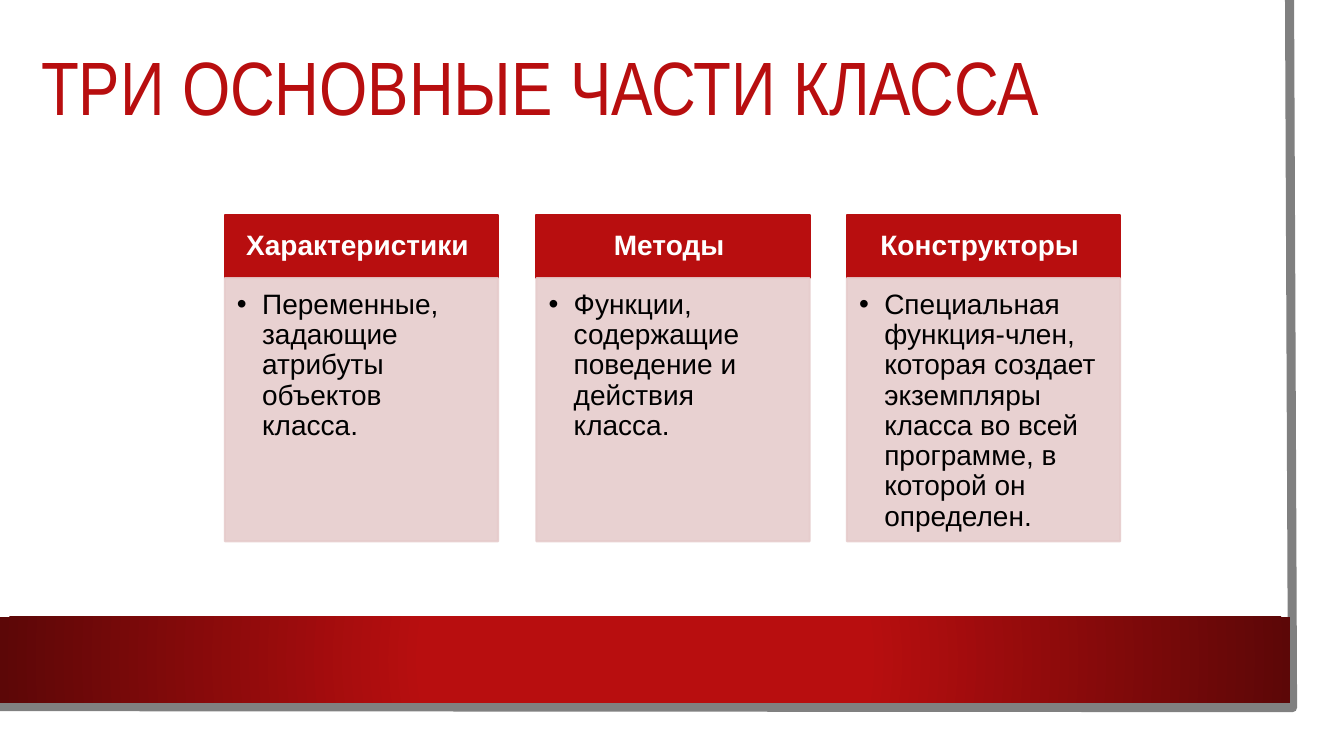
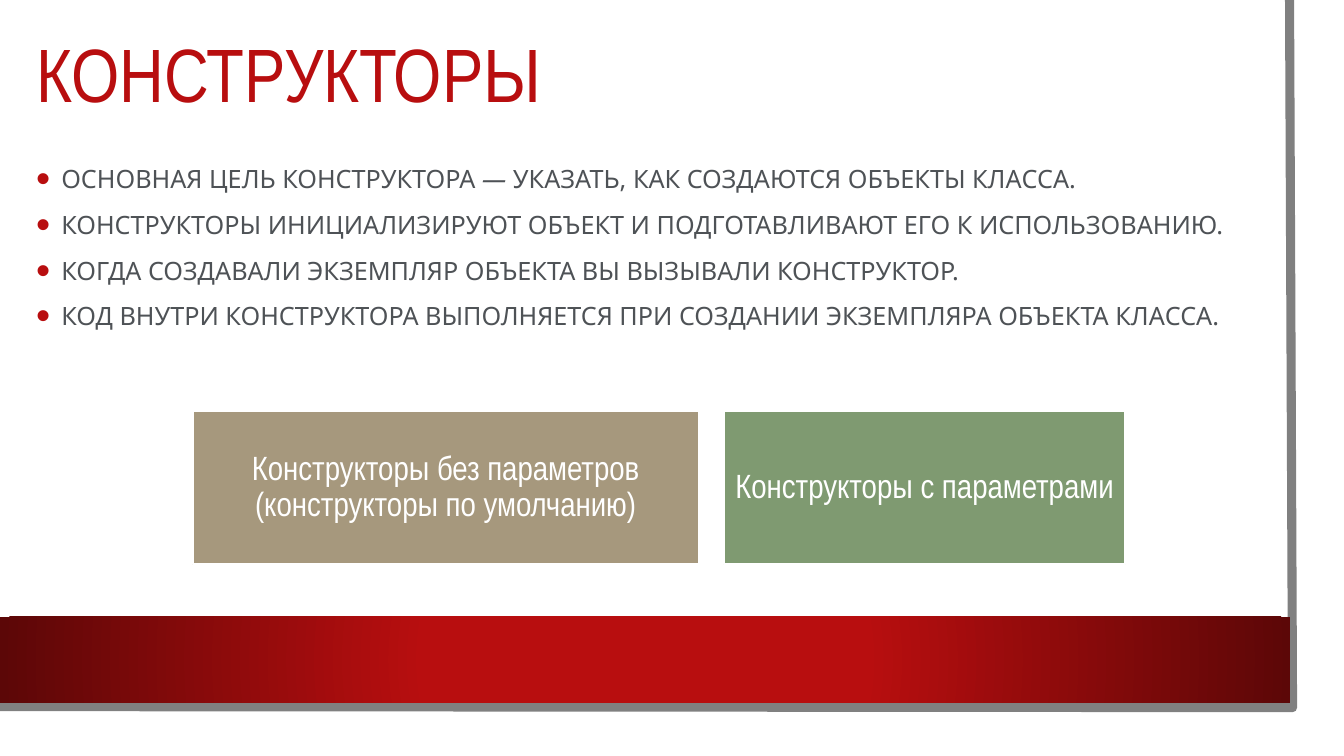
from dataclasses import dataclass

from lxml import etree
from pptx import Presentation
from pptx.dml.color import RGBColor
from pptx.enum.shapes import MSO_SHAPE
from pptx.enum.text import MSO_ANCHOR, PP_ALIGN
from pptx.oxml.ns import qn
from pptx.util import Emu, Pt

PX = 9144
RECTANGLE = MSO_SHAPE.RECTANGLE
TOP, MIDDLE = MSO_ANCHOR.TOP, MSO_ANCHOR.MIDDLE
LEFT, CENTER = PP_ALIGN.LEFT, PP_ALIGN.CENTER

COLORS = {
    "white": "FFFFFF",
    "black": "000000",
    "red": "B80E0F",
    "dark_red": "5C0707",
    "gray": "808080",
    "pink": "E6CCCC",
    "slate": "4E5256",
    "sand": "A6987D",
    "green": "7F9A71",
}


@dataclass(frozen=True)
class Box:
    left: int
    top: int
    width: int
    height: int


@dataclass(frozen=True)
class TextStyle:
    font: str
    size: int
    color: str
    bold: bool = False
    align: PP_ALIGN = LEFT
    anchor: MSO_ANCHOR = MIDDLE
    line_spacing: float = 0.9
    space_before: int = 0
    insets: tuple[int, int, int, int] = (10, 5, 10, 5)
    bullet_color: str | None = None
    bullet_percent: int = 100


@dataclass(frozen=True)
class Card:
    heading: str
    description: str


@dataclass(frozen=True)
class Tile:
    box: Box
    color: str
    text: str


TITLE = TextStyle("Arial Narrow", 54, "red")
CARD_HEADING = TextStyle("Arial", 20, "white", bold=True, align=CENTER, insets=(16, 9, 16, 9))
CARD_BODY = TextStyle("Arial", 20, "black", anchor=TOP, insets=(12, 12, 16, 17),
                      bullet_color="black")
BODY = TextStyle("Noto Sans", 18, "slate", line_spacing=1.05, space_before=10,
                 bullet_color="red", bullet_percent=160)
TILE = TextStyle("Arial Narrow", 24, "white", align=CENTER, insets=(10, 10, 10, 10))

CARD_AREA = Box(223, 213, 888, 324)
CARD_WIDTH = 271
CARD_HEADING_HEIGHT = 63
CARDS = [
    Card("Характеристики ", "Переменные, задающие атрибуты объектов класса."),
    Card("Методы ", "Функции, содержащие поведение и действия класса."),
    Card("Конструкторы ", "Специальная функция-член, которая создает экземпляры класса "
         "во всей программе, в которой он определен."),
]

STATEMENTS = [
    [("ОСНОВНАЯ ЦЕЛЬ КОНСТРУКТОРА ", False), ("—", True),
     (" УКАЗАТЬ, КАК СОЗДАЮТСЯ ОБЪЕКТЫ КЛАССА.", False)],
    [("КОНСТРУКТОРЫ ИНИЦИАЛИЗИРУЮТ ОБЪЕКТ И ПОДГОТАВЛИВАЮТ ЕГО К ИСПОЛЬЗОВАНИЮ.", False)],
    [("КОГДА СОЗДАВАЛИ ЭКЗЕМПЛЯР ОБЪЕКТА ВЫ ВЫЗЫВАЛИ КОНСТРУКТОР.", False)],
    [("КОД ВНУТРИ КОНСТРУКТОРА ВЫПОЛНЯЕТСЯ ПРИ СОЗДАНИИ ЭКЗЕМПЛЯРА ОБЪЕКТА КЛАССА.", False)],
]
TILES = [
    Tile(Box(191, 408, 502, 152), "sand",
         "Конструкторы без параметров (конструкторы по умолчанию)"),
    Tile(Box(718, 408, 398, 152), "green", "Конструкторы с параметрами"),
]


def px(value: float) -> Emu:
    return Emu(round(value * PX))


def rgb(name: str) -> RGBColor:
    return RGBColor.from_string(COLORS[name])


def bounds(box: Box) -> tuple[Emu, Emu, Emu, Emu]:
    return px(box.left), px(box.top), px(box.width), px(box.height)


def add_rectangle(slide, box: Box, fill: str, line: str | None = None, opacity: int = 100):
    shape = slide.shapes.add_shape(RECTANGLE, *bounds(box))
    shape.shadow.inherit = False
    shape.fill.solid()
    shape.fill.fore_color.rgb = rgb(fill)
    if line:
        shape.line.color.rgb = rgb(line)
        shape.line.width = Pt(1.5)
    else:
        shape.line.fill.background()
    if opacity < 100:
        for color in shape._element.spPr.iter(qn("a:srgbClr")):
            etree.SubElement(color, qn("a:alpha"), val=str(opacity * 1000))
    return shape


def add_bullet(paragraph, style: TextStyle) -> None:
    properties = paragraph._p.get_or_add_pPr()
    properties.set("marL", str(px(25)))
    properties.set("indent", str(-px(25)))
    color = etree.SubElement(properties, qn("a:buClr"))
    etree.SubElement(color, qn("a:srgbClr"), val=COLORS[style.bullet_color])
    etree.SubElement(properties, qn("a:buSzPct"), val=str(style.bullet_percent * 1000))
    etree.SubElement(properties, qn("a:buFont"), typeface="Arial")
    etree.SubElement(properties, qn("a:buChar"), char="•")


def write_text(shape, paragraphs: list[list[tuple[str, bool]]], style: TextStyle) -> None:
    frame = shape.text_frame
    frame.word_wrap = True
    frame.vertical_anchor = style.anchor
    (frame.margin_left, frame.margin_top,
     frame.margin_right, frame.margin_bottom) = map(px, style.insets)
    for index, runs in enumerate(paragraphs):
        paragraph = frame.add_paragraph() if index else frame.paragraphs[0]
        paragraph.alignment = style.align
        paragraph.line_spacing = style.line_spacing
        if index and style.space_before:
            paragraph.space_before = Pt(style.space_before)
        if style.bullet_color:
            add_bullet(paragraph, style)
        font = paragraph.font
        font.name = style.font
        font.size = Pt(style.size)
        font.bold = style.bold
        font.color.rgb = rgb(style.color)
        for text, italic in runs:
            run = paragraph.add_run()
            run.text = text
            if italic:
                run.font.italic = True


def add_text(slide, box: Box, paragraphs: list[list[tuple[str, bool]]], style: TextStyle) -> None:
    write_text(slide.shapes.add_textbox(*bounds(box)), paragraphs, style)


def add_page_edge(slide) -> None:
    builder = slide.shapes.build_freeform(1279, 0, scale=PX)
    builder.add_line_segments([(1282, 702), (-3, 701)], close=False)
    edge = builder.convert_to_shape()
    edge.shadow.inherit = False
    edge.fill.background()
    edge.line.color.rgb = rgb("gray")
    edge.line.width = Pt(6.5)


def add_band(slide) -> None:
    band = add_rectangle(slide, Box(0, 612, 1280, 85), "red")
    band.fill.gradient()
    stops = ((0.34, "red"), (1, "dark_red"))
    for stop, (position, color) in zip(band.fill.gradient_stops, stops):
        stop.position = position
        stop.color.rgb = rgb(color)
    gradient = band._element.spPr.find(qn("a:gradFill"))
    gradient.remove(gradient.find(qn("a:lin")))
    circle = etree.SubElement(gradient, qn("a:path"), path="circle")
    center = dict.fromkeys("ltrb", "50000")
    etree.SubElement(circle, qn("a:fillToRect"), center)


def add_page(presentation, title: str, left: int, top: int):
    slide = presentation.slides.add_slide(presentation.slide_layouts[6])
    add_rectangle(slide, Box(0, 0, 1310, 727), "white")
    add_page_edge(slide)
    add_band(slide)
    add_text(slide, Box(left, top, 1137, 126), [[(title, False)]], TITLE)
    return slide


def add_cards(slide, cards: list[Card]) -> None:
    step = (CARD_AREA.width - CARD_WIDTH) / (len(cards) - 1)
    body_top = CARD_AREA.top + CARD_HEADING_HEIGHT
    body_height = CARD_AREA.height - CARD_HEADING_HEIGHT
    for index, card in enumerate(cards):
        left = round(CARD_AREA.left + index * step)
        heading = add_rectangle(
            slide, Box(left, CARD_AREA.top, CARD_WIDTH, CARD_HEADING_HEIGHT), "red", "red")
        write_text(heading, [[(card.heading, False)]], CARD_HEADING)
        body = add_rectangle(
            slide, Box(left, body_top, CARD_WIDTH, body_height), "pink", "pink", opacity=90)
        write_text(body, [[(card.description, False)]], CARD_BODY)


def add_tiles(slide, tiles: list[Tile]) -> None:
    for tile in tiles:
        shape = add_rectangle(slide, tile.box, tile.color, "white")
        write_text(shape, [[(tile.text, False)]], TILE)


def main() -> None:
    presentation = Presentation()
    presentation.slide_width = px(1333)
    presentation.slide_height = px(750)

    class_parts = add_page(presentation, "ТРИ ОСНОВНЫЕ ЧАСТИ КЛАССА", 31, 27)
    add_cards(class_parts, CARDS)

    constructors = add_page(presentation, "КОНСТРУКТОРЫ", 26, 14)
    add_text(constructors, Box(26, 114, 1222, 261), STATEMENTS, BODY)
    add_tiles(constructors, TILES)

    presentation.save("out.pptx")


if __name__ == "__main__":
    main()
